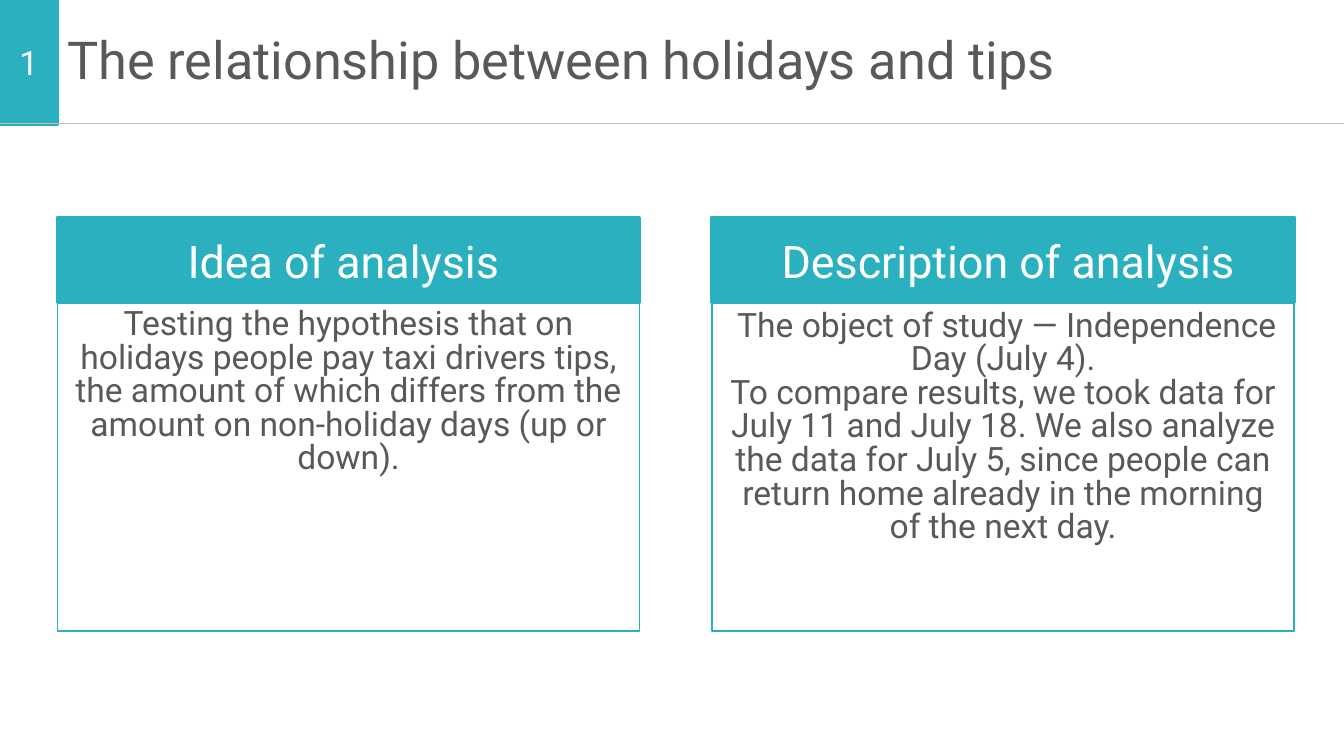
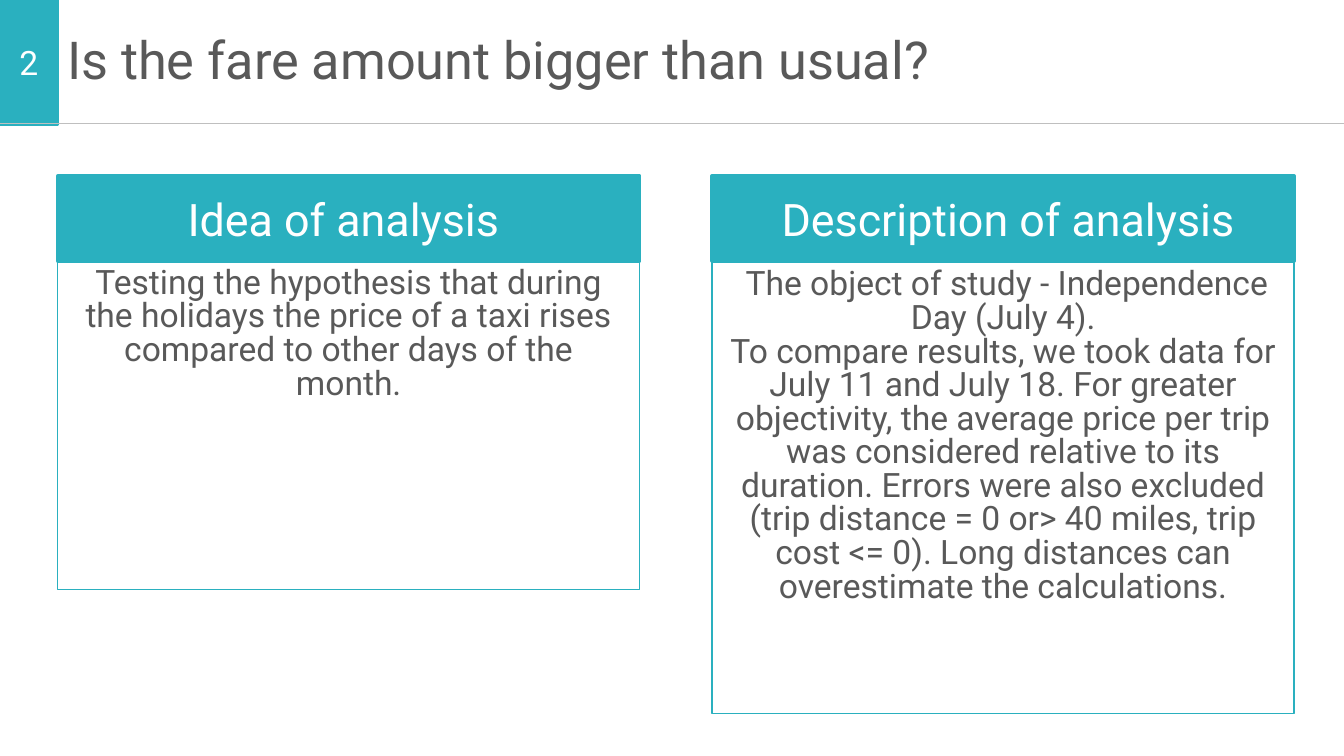
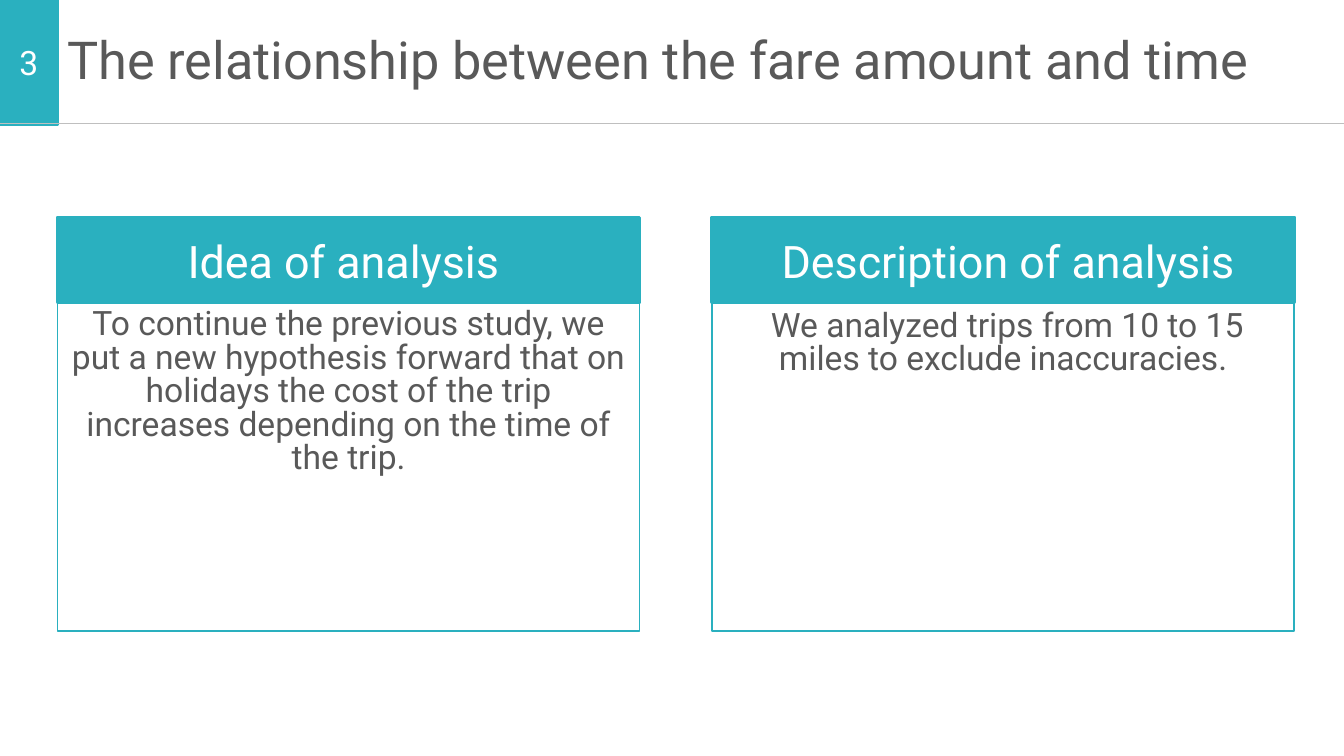
from collections import namedtuple

from lxml.etree import SubElement
from pptx import Presentation
from pptx.dml.color import RGBColor
from pptx.enum.shapes import MSO_CONNECTOR as Connector, MSO_SHAPE as Shape
from pptx.enum.text import MSO_ANCHOR as Anchor, PP_ALIGN as Align
from pptx.oxml.ns import qn
from pptx.util import Cm, Pt

FONT = "Roboto"
TEAL, GREY, RULE, WHITE = "2AB0BF", "595959", "BFBFBF", "FFFFFF"

# Lengths in centimetres
PAGE_WIDTH, PAGE_HEIGHT = 25.4, 14.29
BAND_HEIGHT = 2.34
BADGE_WIDTH = 1.09
TITLE_LEFT = 1.02
CARD_WIDTH, BAR_HEIGHT = 11, 1.6
HEADING_RISE = 0.38

Column = namedtuple("Column", "heading left heading_left heading_width body_gap")
IDEA = Column("Idea of analysis", 1.09, 0.23, 12.52, 0)
DESCRIPTION = Column("Description of analysis", 13.46, 12.7, 12.7, 0.03)

Topic = namedtuple("Topic", "title title_width top idea description description_bottom",
                   defaults=[7.82])
TOPICS = [
    Topic(
        "The relationship between holidays and tips", 22.86, 4.11,
        ["Testing the hypothesis that on holidays people pay taxi drivers tips, "
         "the amount of which differs from the amount on non-holiday days (up or down)."],
        [" The object of study — Independence Day (July 4).",
         "To compare results, we took data for July 11 and July 18. We also analyze "
         "the data for July 5, since people can return home already in the morning "
         "of the next day."]),
    Topic(
        "Is the fare amount bigger than usual?", 22.86, 3.33,
        ["Testing the hypothesis that during the holidays the price of a taxi rises "
         "compared to other days of the month."],
        [" The object of study - Independence Day (July 4).",
         "To compare results, we took data for July 11 and July 18. For greater "
         "objectivity, the average price per trip was considered relative to its "
         "duration. Errors were also excluded (trip distance = 0 or> 40 miles, trip "
         "cost <= 0). Long distances can overestimate the calculations."],
        10.16),
    Topic(
        "The relationship between the fare amount and time", 24.38, 4.11,
        ["To continue the previous study, we put a new hypothesis forward that on "
         "holidays the cost of the trip increases depending on the time of the trip."],
        [" We analyzed trips from 10 to 15 miles to exclude inaccuracies."]),
]


def color(hex_string):
    return RGBColor.from_string(hex_string)


def write(shape, lines, size, ink, align=Align.CENTER, anchor=Anchor.MIDDLE, spacing=None):
    """Fill a shape with one paragraph per line, all in the same style."""
    frame = shape.text_frame
    frame.word_wrap = True
    frame.vertical_anchor = anchor
    frame.text = "\n".join(lines)
    for para in frame.paragraphs:
        para.alignment = align
        para.font.name = FONT
        para.font.size = Pt(size)
        para.font.color.rgb = color(ink)
        if spacing:
            para.line_spacing = Pt(spacing)


def add_box(page, left, top, width, height, fill=None, line_width=2):
    box = page.shapes.add_shape(Shape.RECTANGLE, Cm(left), Cm(top), Cm(width), Cm(height))
    box.shadow.inherit = False
    if fill:
        box.fill.solid()
        box.fill.fore_color.rgb = color(fill)
    else:
        box.fill.background()
    box.line.color.rgb = color(TEAL)
    box.line.width = Pt(line_width)
    return box


def add_label(page, left, top, width, text, size, ink, align=Align.CENTER):
    label = page.shapes.add_textbox(Cm(left), Cm(top), Cm(width), Cm(BAND_HEIGHT))
    write(label, [text], size, ink, align, spacing=30)


def add_title_band(page, number, title, title_width):
    badge = add_box(page, 0, 0, BADGE_WIDTH, BAND_HEIGHT, TEAL)
    write(badge, [str(number)], 18, WHITE)
    add_label(page, TITLE_LEFT, 0, title_width, title, 28, GREY, Align.LEFT)
    rule = page.shapes.add_connector(
        Connector.STRAIGHT, Cm(0), Cm(BAND_HEIGHT), Cm(PAGE_WIDTH), Cm(BAND_HEIGHT))
    rule.line.color.rgb = color(RULE)
    rule.line.width = Pt(0.75)
    SubElement(rule.element.spPr, qn("a:effectLst"))


def add_card(page, column, top, body_height, lines):
    """Draw a headed card: teal bar, outlined body and heading."""
    add_box(page, column.left, top, CARD_WIDTH, BAR_HEIGHT, TEAL)
    body_top = top + BAR_HEIGHT + column.body_gap
    body = add_box(page, column.left, body_top, CARD_WIDTH,
                   body_height - column.body_gap, line_width=0.75)
    write(body, lines, 18, GREY, anchor=Anchor.TOP, spacing=18)
    add_label(page, column.heading_left, top - HEADING_RISE, column.heading_width,
              column.heading, 24, WHITE)


def main():
    deck = Presentation()
    deck.slide_width, deck.slide_height = Cm(PAGE_WIDTH), Cm(PAGE_HEIGHT)
    for number, topic in enumerate(TOPICS, start=1):
        page = deck.slides.add_slide(deck.slide_layouts[6])
        add_title_band(page, number, topic.title, topic.title_width)
        add_card(page, IDEA, topic.top, 6.22, topic.idea)
        add_card(page, DESCRIPTION, topic.top, topic.description_bottom - BAR_HEIGHT,
                 topic.description)
    deck.save("out.pptx")


if __name__ == "__main__":
    main()
